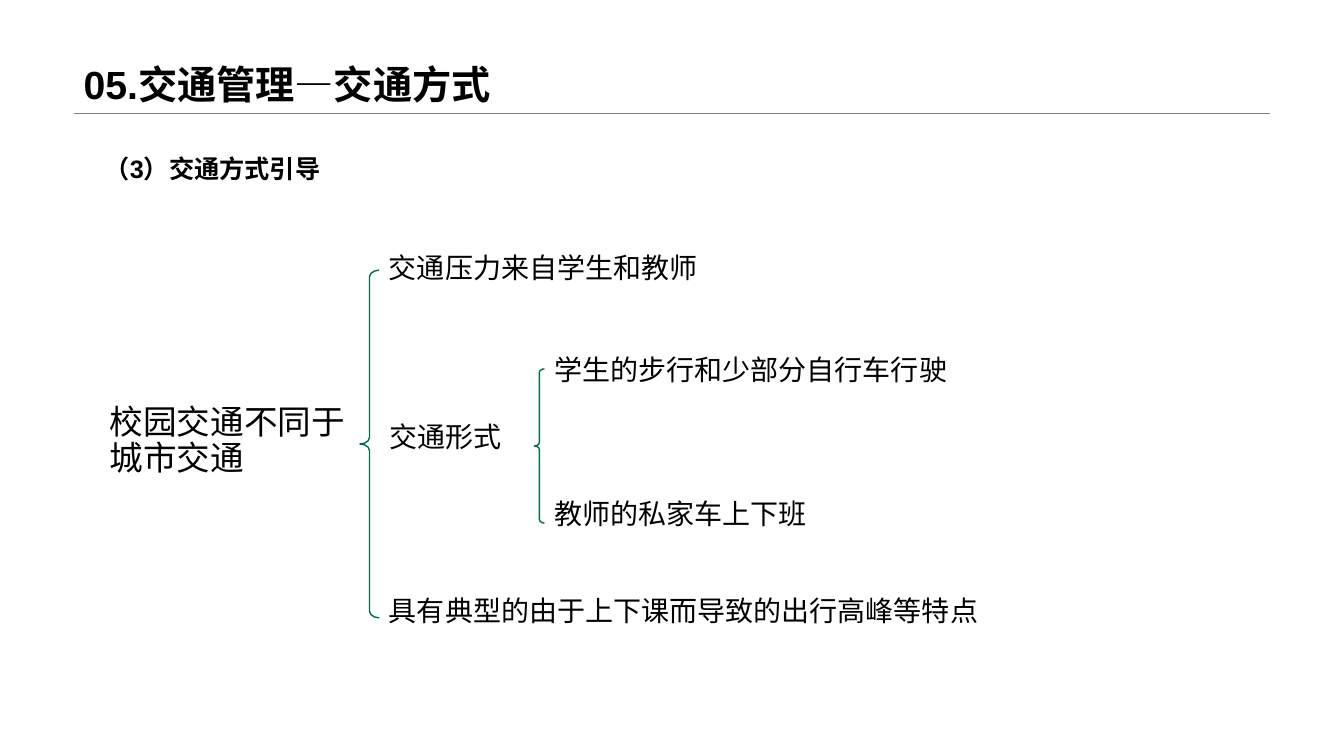
from lxml.etree import SubElement
from pptx import Presentation
from pptx.dml.color import RGBColor
from pptx.enum.shapes import MSO_CONNECTOR, MSO_SHAPE
from pptx.enum.text import MSO_ANCHOR, PP_ALIGN
from pptx.oxml.ns import qn
from pptx.util import Inches, Pt

BLACK = RGBColor(0x00, 0x00, 0x00)
GREY = RGBColor(0x80, 0x80, 0x80)
GREEN = RGBColor(0x01, 0x6B, 0x52)
HEADING_FONT = "Arial"
BODY_FONT = "Noto Sans CJK SC"


def write_text(text_frame, text, size, font_name, bold=False, line_spacing=0.9):
    """Fill a text frame with one left-aligned run."""
    text_frame.word_wrap = True
    paragraph = text_frame.paragraphs[0]
    paragraph.alignment = PP_ALIGN.LEFT
    paragraph.line_spacing = line_spacing
    paragraph.space_before = Pt(0)
    run = paragraph.add_run()
    run.text = text
    run.font.size = Pt(size)
    run.font.bold = bold
    run.font.name = font_name
    run.font.color.rgb = BLACK
    if font_name == BODY_FONT:
        east_asian = SubElement(run.font._element, qn("a:ea"))
        east_asian.set("typeface", font_name)


def add_label(slide, left, top, width, height, text, size, font_name, **style):
    """Add a text box holding one label."""
    label = slide.shapes.add_textbox(Inches(left), Inches(top), Inches(width), Inches(height))
    write_text(label.text_frame, text, size, font_name, **style)


def add_header(slide, left, top, width, height):
    """Place the title in the box and rule a line along its bottom edge."""
    title = slide.shapes.title
    title.left, title.top = Inches(left), Inches(top)
    title.width, title.height = Inches(width), Inches(height)
    title.text_frame.vertical_anchor = MSO_ANCHOR.BOTTOM
    write_text(title.text_frame, "05.交通管理—交通方式", 28, HEADING_FONT, bold=True)
    bottom = Inches(top + height)
    rule = slide.shapes.add_connector(
        MSO_CONNECTOR.STRAIGHT, Inches(left), bottom, Inches(left + width), bottom)
    rule.line.color.rgb = GREY
    rule.line.width = Pt(0.25)
    SubElement(rule._element.spPr, qn("a:effectLst"))


def add_brace(slide, left, top, width, height):
    """Add a green left brace filling the box."""
    brace = slide.shapes.add_shape(
        MSO_SHAPE.LEFT_BRACE, Inches(left), Inches(top), Inches(width), Inches(height))
    brace.shadow.inherit = False
    brace.adjustments[0] = 0.35
    brace.adjustments[1] = 0.5
    brace.fill.background()
    brace.line.color.rgb = GREEN
    brace.line.width = Pt(1)


def add_branch(slide, left, top, brace_width, brace_height, items):
    """Add a brace and, to its right, items given as offset from the top, width and text."""
    add_brace(slide, left, top, brace_width, brace_height)
    for offset, width, text in items:
        add_label(slide, left + brace_width, top + offset, width, 0.4, text, 20, BODY_FONT)


def add_traffic_tree(slide, left, top):
    """Place the root statement and its two levels of branches."""
    add_label(slide, left, top + 1.5, 2.68, 0.83, "校园交通不同于城市交通", 24, BODY_FONT)
    add_branch(slide, left + 2.58, top + 0.21, 0.19, 3.45, [
        (-0.21, 5.67, "交通压力来自学生和教师"),
        (1.47, 2.28, "交通形式"),
        (3.2, 7.64, "具有典型的由于上下课而导致的出行高峰等特点"),
    ])
    add_branch(slide, left + 4.31, top + 1.19, 0.1, 1.53, [
        (-0.17, 4.96, "学生的步行和少部分自行车行驶"),
        (1.25, 4.1, "教师的私家车上下班"),
    ])


def main():
    """Build and save the slide."""
    presentation = Presentation()
    presentation.slide_width = Inches(13.33)
    presentation.slide_height = Inches(7.5)
    slide = presentation.slides.add_slide(presentation.slide_layouts[5])
    add_header(slide, 0.73, 0, 11.87, 1.12)
    add_label(slide, 0.94, 1.47, 2.79, 0.4, "（3）交通方式引导", 18, HEADING_FONT,
              bold=True, line_spacing=1.0)
    add_traffic_tree(slide, 0.99, 2.47)
    presentation.save("out.pptx")


if __name__ == "__main__":
    main()
